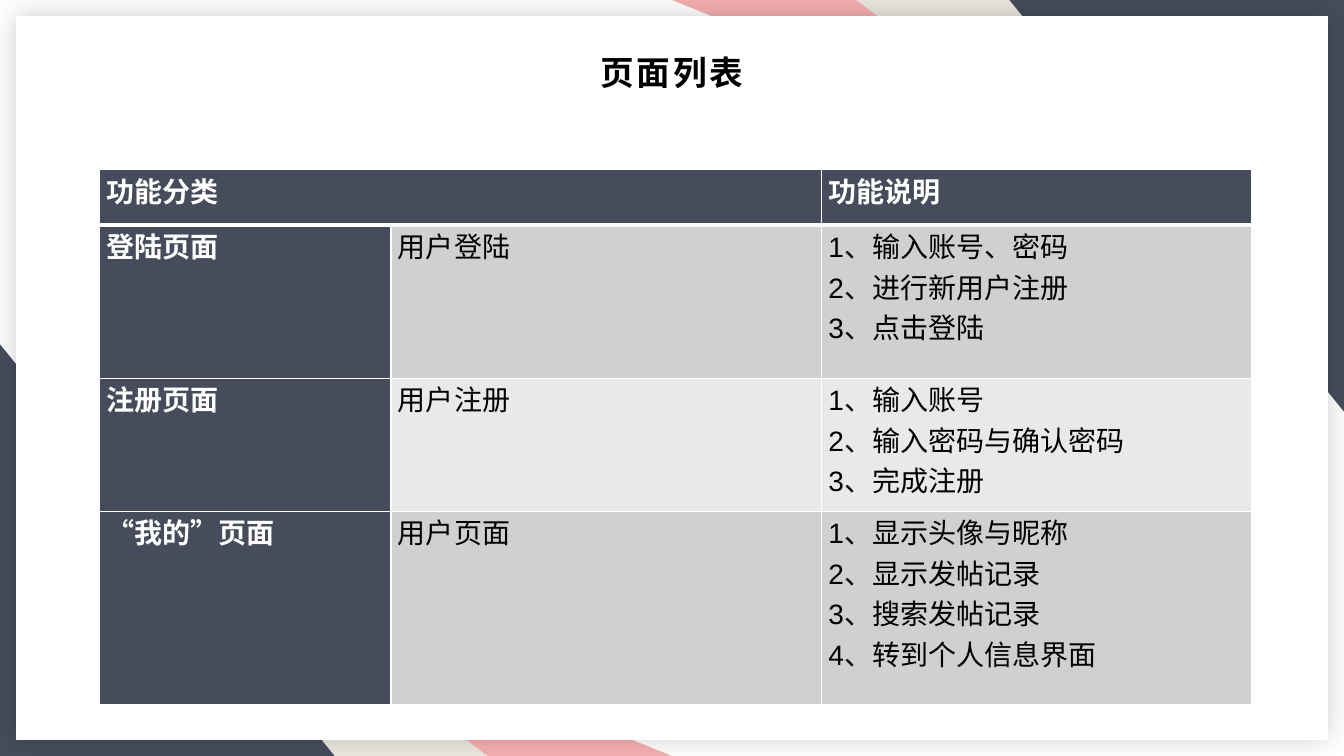
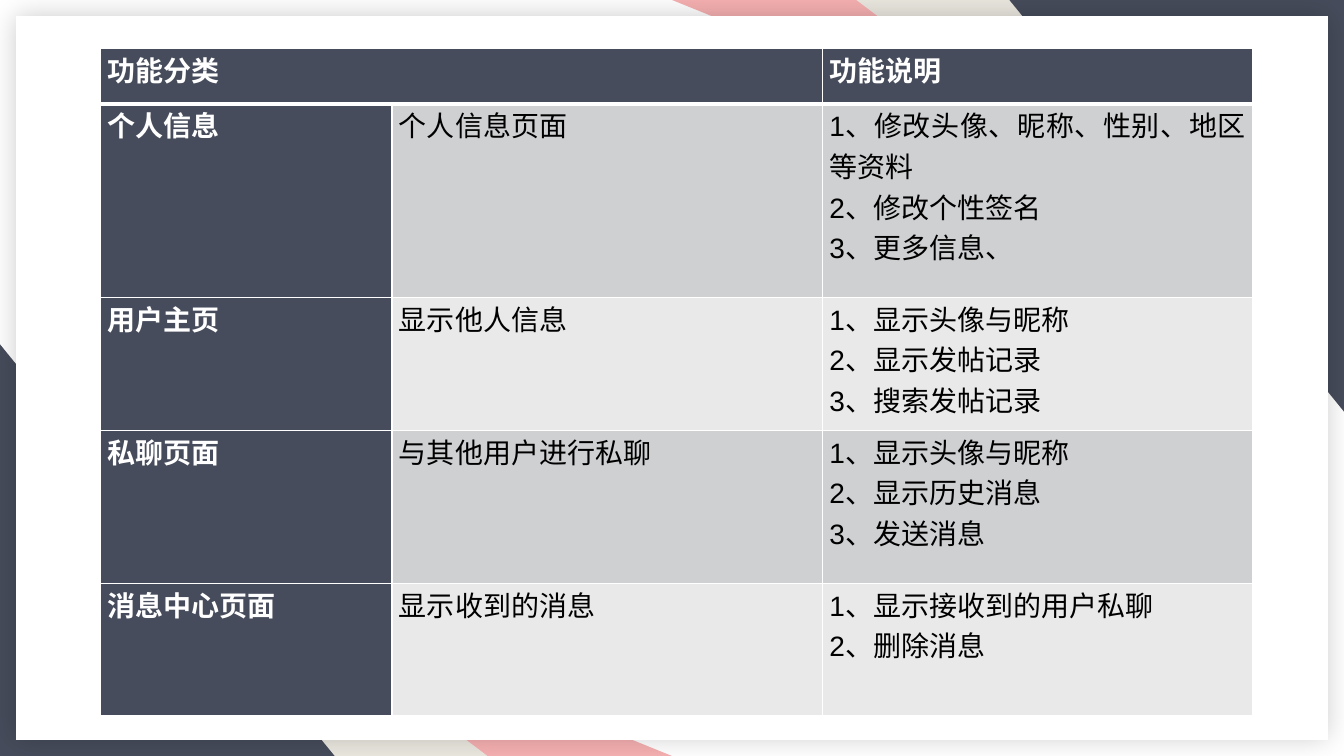
from dataclasses import dataclass

from lxml import etree
from pptx import Presentation
from pptx.dml.color import RGBColor
from pptx.enum.shapes import MSO_SHAPE
from pptx.enum.text import MSO_ANCHOR, PP_ALIGN
from pptx.oxml import parse_xml
from pptx.oxml.ns import qn
from pptx.util import Pt

RECT = MSO_SHAPE.RECTANGLE
TOP, MIDDLE = MSO_ANCHOR.TOP, MSO_ANCHOR.MIDDLE
CENTER, JUSTIFY = PP_ALIGN.CENTER, PP_ALIGN.JUSTIFY
NS = 'xmlns:a="http://schemas.openxmlformats.org/drawingml/2006/main"'


@dataclass(frozen=True)
class Theme:
    navy: str = "464C5B"
    pink: str = "F6B0B1"
    cream: str = "EBE8E0"
    white: str = "FFFFFF"
    black: str = "000000"
    stripes: tuple = ("CFD0D2", "E9E9EA")
    cjk: str = "Noto Sans CJK SC"
    column_fonts: tuple = ("Arial", "Calibri", "Arial")
    title_size: int = 24
    body_size: int = 20
    rule: int = 1
    header_rule: int = 3


T = Theme()
W, H = 960, 540
BANDS = [(T.pink, 480, 194.4), (T.cream, 348.2, 264), (T.navy, 239, 294)]
CARD_MARGIN = 11.5
COLUMNS = [208, 307.5, 307.5]
HEADER = ("功能分类", "", "功能说明")
HEADER_HEIGHT = 39.6
SLIDES = [
    {
        "title": "页面列表",
        "at": (71.3, 121.2),
        "rows": [
            (109.3, "登陆页面", "用户登陆",
             ["1、输入账号、密码", "2、进行新用户注册", "3、点击登陆"]),
            (95, "注册页面", "用户注册",
             ["1、输入账号", "2、输入密码与确认密码", "3、完成注册"]),
            (138.2, "“我的”页面", "用户页面",
             ["1、显示头像与昵称", "2、显示发帖记录", "3、搜索发帖记录",
              "4、转到个人信息界面"]),
        ],
    },
    {
        "title": None,
        "at": (72, 34.8),
        "rows": [
            (138.2, "个人信息", "个人信息页面",
             ["1、修改头像、昵称、性别、地区等资料", "2、修改个性签名",
              "3、更多信息、"]),
            (95, "用户主页", "显示他人信息",
             ["1、显示头像与昵称", "2、显示发帖记录", "3、搜索发帖记录"]),
            (109.3, "私聊页面", "与其他用户进行私聊",
             ["1、显示头像与昵称", "2、显示历史消息", "3、发送消息"]),
            (94.6, "消息中心页面", "显示收到的消息",
             ["1、显示接收到的用户私聊", "2、删除消息"]),
        ],
    },
]


def rgb(value):
    return RGBColor.from_string(value)


def add_run(p, text, size, color, font, bold):
    r = p.add_run()
    r.text = text
    r.font.size, r.font.bold, r.font.name = Pt(size), bold, font
    r.font.color.rgb = rgb(color)
    rPr = r._r.get_or_add_rPr()
    rPr.set("lang", "zh-CN")
    latin = rPr.find(qn("a:latin"))
    latin.addnext(parse_xml(f'<a:ea {NS} typeface="{T.cjk}"/>'))
    return r


def paint(sp, color):
    sp.shadow.inherit = False
    sp.fill.solid()
    sp.fill.fore_color.rgb = rgb(color)
    sp.line.fill.background()


def draw_backdrop(slide):
    parts = []
    for flipped in (False, True):
        for color, w, h in BANDS:
            corners = [(0, H), (0, H - h), (w, H)]
            if flipped:
                corners = [(W - x, H - y) for x, y in corners]
            points = [(Pt(x), Pt(y)) for x, y in corners]
            builder = slide.shapes.build_freeform(*points[0], scale=1.0)
            builder.add_line_segments(points[1:], close=True)
            sp = builder.convert_to_shape()
            paint(sp, color)
            parts.append(sp)
    m = CARD_MARGIN
    card = slide.shapes.add_shape(RECT, Pt(m), Pt(m), Pt(W - 2 * m), Pt(H - 2 * m))
    paint(card, T.white)
    effects = card._element.spPr.find(qn("a:effectLst"))
    shadow = etree.SubElement(effects, qn("a:outerShdw"), blurRad=str(Pt(20)),
                              dist="0", dir="0", algn="ctr", rotWithShape="0")
    color = etree.SubElement(shadow, qn("a:srgbClr"), val=T.black)
    etree.SubElement(color, qn("a:alpha"), val="20000")
    return parts + [card]


def move_to_master(prs, shapes):
    tree = prs.slide_master.shapes._spTree
    for i, sp in enumerate(shapes):
        tree.insert(2 + i, sp._element)


def set_title(slide, text):
    sp = slide.shapes.title
    sp.left, sp.top, sp.width, sp.height = Pt(264), Pt(36), Pt(432), Pt(34.6)
    tf = sp.text_frame
    tf.margin_left = tf.margin_right = tf.margin_top = tf.margin_bottom = 0
    tf.vertical_anchor, tf.word_wrap = MIDDLE, True
    p = tf.paragraphs[0]
    p.alignment, p.line_spacing = CENTER, 0.9
    r = add_run(p, text, T.title_size, T.black, T.cjk, True)
    r._r.get_or_add_rPr().set("spc", "200")


def set_borders(cell, top, bottom):
    sides = [("L", T.rule), ("R", T.rule), ("T", top), ("B", bottom)]
    tcPr = cell._tc.get_or_add_tcPr()
    for i, (side, width) in enumerate(sides):
        tcPr.insert(i, parse_xml(
            f'<a:ln{side} {NS} w="{Pt(width)}"><a:solidFill>'
            f'<a:srgbClr val="{T.white}"/></a:solidFill></a:ln{side}>'))


def fill_cell(cell, lines, row, col):
    strong = row == 0 or col == 0
    cell.margin_left = cell.margin_right = Pt(5)
    cell.margin_top = cell.margin_bottom = 0
    cell.vertical_anchor = TOP
    cell.fill.solid()
    cell.fill.fore_color.rgb = rgb(T.navy if strong else T.stripes[(row - 1) % 2])
    set_borders(cell, T.header_rule if row == 1 else T.rule,
                T.header_rule if row == 0 else T.rule)
    tf = cell.text_frame
    for i, line in enumerate(lines):
        p = tf.add_paragraph() if i else tf.paragraphs[0]
        p.alignment = JUSTIFY
        if line:
            add_run(p, line, T.body_size, T.white if strong else T.black,
                    T.column_fonts[col], strong)


def add_function_table(slide, at, rows):
    records = [(HEADER_HEIGHT, *HEADER)] + rows
    x, y = at
    frame = slide.shapes.add_table(
        len(records), len(COLUMNS), Pt(x), Pt(y), Pt(sum(COLUMNS)),
        Pt(sum(record[0] for record in records)))
    table = frame.table
    for col, width in enumerate(COLUMNS):
        table.columns[col].width = Pt(width)
    for row, (height, *values) in enumerate(records):
        table.rows[row].height = Pt(height)
        for col, value in enumerate(values):
            lines = value if isinstance(value, list) else [value]
            fill_cell(table.cell(row, col), lines, row, col)
    table.cell(0, 0).merge(table.cell(0, 1))


def main():
    prs = Presentation()
    prs.slide_width, prs.slide_height = Pt(W), Pt(H)
    title_only, blank = prs.slide_layouts[5], prs.slide_layouts[6]
    for i, content in enumerate(SLIDES):
        slide = prs.slides.add_slide(title_only if content["title"] else blank)
        if i == 0:
            move_to_master(prs, draw_backdrop(slide))
        if content["title"]:
            set_title(slide, content["title"])
        add_function_table(slide, content["at"], content["rows"])
    prs.save("out.pptx")


if __name__ == "__main__":
    main()
